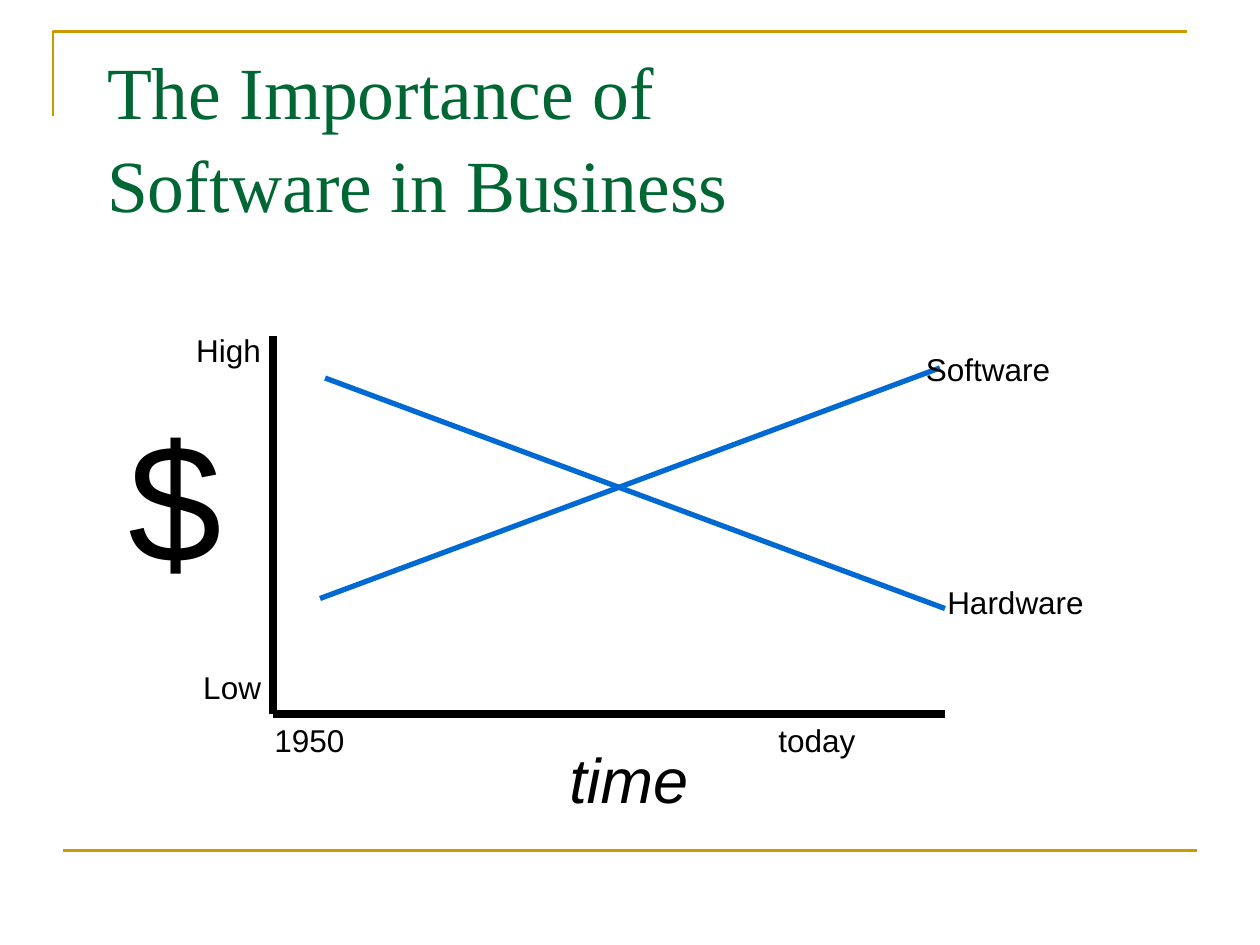
from lxml import etree
from pptx import Presentation
from pptx.dml.color import RGBColor
from pptx.enum.shapes import MSO_CONNECTOR as Connector
from pptx.enum.text import MSO_ANCHOR as Anchor, PP_ALIGN as Align
from pptx.oxml.ns import qn
from pptx.util import Inches, Pt

COLORS = {"gold": "CC9900", "green": "006633", "black": "000000", "blue": "0069D2"}

TITLE = "The Importance of \vSoftware in Business"
CORNER = [(0.42, 0.92), (0.42, 0.25), (9.42, 0.25)]
ORIGIN = (2.17, 5.67)

# from, to, colour, width in points
LINES = [
    ((0.5, 6.75), (9.5, 6.75), "gold", 1.5),   # footer rule
    (ORIGIN, (2.17, 2.67), "black", 4.5),      # cost axis
    (ORIGIN, (7.5, 5.67), "black", 4.5),       # time axis
    ((2.58, 3), (7.5, 4.83), "blue", 3),       # hardware
    ((2.54, 4.75), (7.46, 2.92), "blue", 3),   # software
]

# text, (left, top, width, height), format
LABELS = [
    ("time", (4.42, 5.83, 1.17, 0.7), {"size": 36, "italic": True}),
    ("1950", (2.08, 5.67, 1.5, 0.4), {}),
    ("today", (6.08, 5.67, 1.5, 0.4), {}),
    ("$", (0.92, 3.08, 1, 1.7), {"size": 96}),
    ("Software", (7.25, 2.73, 1.83, 0.4), {}),
    ("Hardware", (7.42, 4.58, 1.83, 0.4), {}),
    ("High", (0.67, 2.58, 1.5, 0.4), {"align": Align.RIGHT}),
    ("Low", (0.67, 5.25, 1.5, 0.4), {"align": Align.RIGHT}),
]


def color(name):
    return RGBColor.from_string(COLORS[name])


def write(shape, text, size=18, font="Arial", ink="black", italic=False,
          align=Align.LEFT, anchor=Anchor.TOP, spacing=None):
    frame = shape.text_frame
    frame.word_wrap = True
    frame.vertical_anchor = anchor
    paragraph = frame.paragraphs[0]
    paragraph.text = text
    paragraph.alignment = align
    paragraph.line_spacing = spacing
    for run in paragraph.runs:
        run.font.size = Pt(size)
        run.font.name = font
        run.font.italic = italic
        run.font.color.rgb = color(ink)


def place(shape, box):
    shape.left, shape.top, shape.width, shape.height = map(Inches, box)


def add_line(slide, start, end, ink, width):
    line = slide.shapes.add_connector(Connector.STRAIGHT, *map(Inches, start + end))
    line.line.color.rgb = color(ink)
    line.line.width = Pt(width)
    etree.SubElement(line._element.spPr, qn("a:effectLst"))


def add_corner(slide):
    points = [tuple(map(Inches, point)) for point in CORNER]
    builder = slide.shapes.build_freeform(*points[0])
    builder.add_line_segments(points[1:], close=False)
    corner = builder.convert_to_shape()
    corner.shadow.inherit = False
    corner.fill.background()
    corner.line.color.rgb = color("gold")
    corner.line.width = Pt(1.5)


def main():
    presentation = Presentation()
    presentation.slide_width = Inches(10)
    presentation.slide_height = Inches(7.5)
    slide = presentation.slides.add_slide(presentation.slide_layouts[5])

    # Title
    title = slide.shapes.title
    place(title, (0.75, 0.33, 8.5, 1.5))
    write(title, TITLE, size=42, font="Times New Roman", ink="green",
          anchor=Anchor.BOTTOM, spacing=1.05)
    title.text_frame.margin_bottom = Inches(0.03)

    # Frame, axes and trends
    add_corner(slide)
    for line in LINES:
        add_line(slide, *line)

    # Labels
    for text, box, style in LABELS:
        write(slide.shapes.add_textbox(*map(Inches, box)), text, **style)

    presentation.save("out.pptx")


if __name__ == "__main__":
    main()
